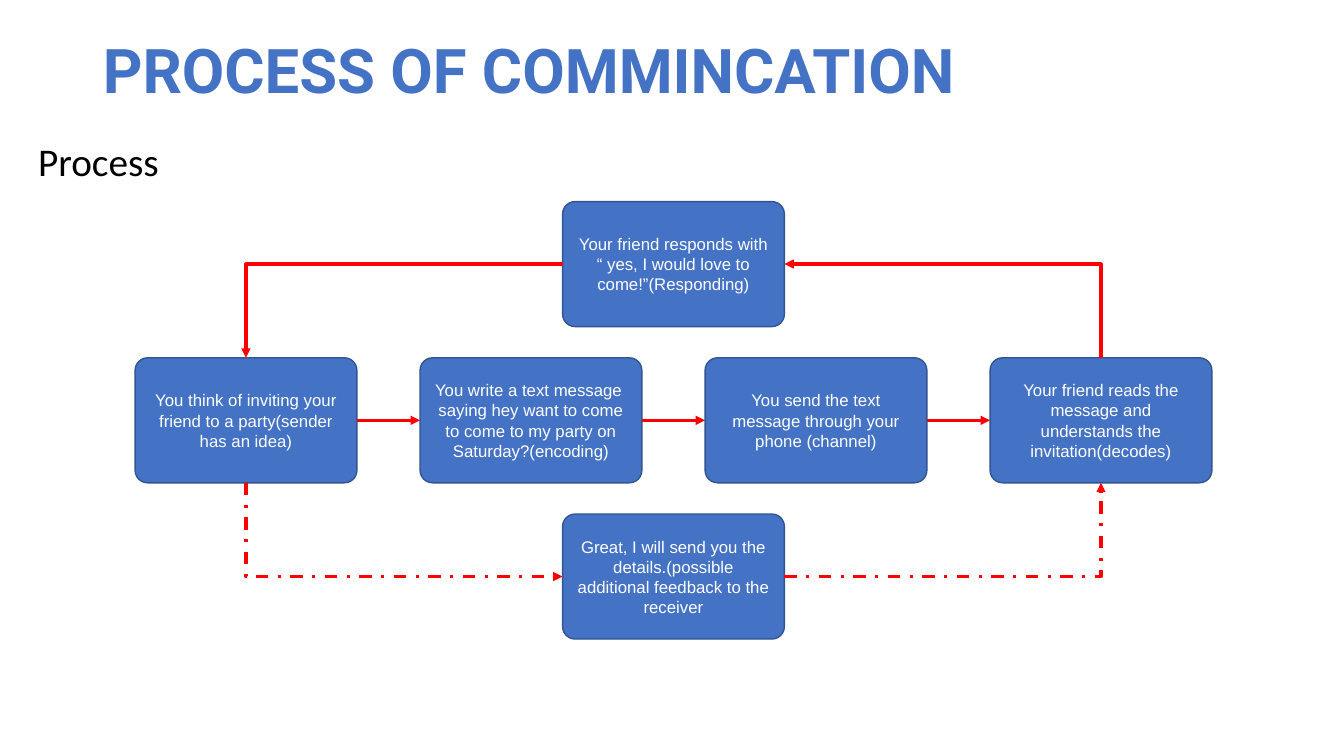
from lxml import etree
from pptx import Presentation
from pptx import util as u
from pptx.dml.color import RGBColor
from pptx.enum import dml, shapes, text
from pptx.oxml.ns import qn

BLUE, EDGE, RED, WHITE, BLACK = "4472C4", "325491", "FF0000", "FFFFFF", "000000"
TITLE_BOX = (0.92, 0.24, 11.5, 0.97)
BODY_BOX = (0.28, 1.37, 12.82, 5.93)
DIAGRAM_BOX = (1.34, 2, 10.68, 4.34)
STEP_W, STEP_H = 2.2, 1.24
COLS, ROWS = 4, 3
TOP, LEFT, BOTTOM, RIGHT = range(4)  # connection sites of a rounded rectangle

# name: (column, row, wording)
STEPS = {
    "idea": (0, 1, "You think of inviting your friend to a party(sender has an idea)"),
    "encode": (1, 1, "You write a text message  saying hey want to come to come "
                     "to my party on Saturday?(encoding)"),
    "channel": (2, 1, "You send the text message through your phone (channel)"),
    "decode": (3, 1, "Your friend reads the message and understands the "
                     "invitation(decodes)"),
    "respond": (1.5, 0, "Your friend responds with “ yes, I would love to "
                        "come!”(Responding)"),
    "feedback": (1.5, 2, "Great, I will send you the details.(possible additional "
                         "feedback to the receiver"),
}
# from, site, to, site, dashed
BENT_ARROWS = [
    ("respond", LEFT, "idea", TOP, False),
    ("decode", TOP, "respond", RIGHT, False),
    ("idea", BOTTOM, "feedback", LEFT, True),
    ("feedback", RIGHT, "decode", BOTTOM, True),
]
MAIN_FLOW = ["idea", "encode", "channel", "decode"]


def rgb(value):
    return RGBColor.from_string(value)


def put_text(sp, wording, font, size, color, bold=False, spacing=1.0, before=0,
             align=text.PP_ALIGN.LEFT, anchor=text.MSO_ANCHOR.TOP):
    tf = sp.text_frame
    tf.word_wrap = True
    tf.auto_size = text.MSO_AUTO_SIZE.NONE
    tf.vertical_anchor = anchor
    p = tf.paragraphs[0]
    p.alignment, p.line_spacing, p.space_before = align, spacing, u.Pt(before)
    r = p.add_run()
    r.text = wording
    r.font.name, r.font.size, r.font.bold = font, u.Pt(size), bold
    r.font.color.rgb = rgb(color)


def add_title(s, box):
    sp = s.shapes.title
    sp.left, sp.top, sp.width, sp.height = map(u.Inches, box)
    put_text(sp, "PROCESS OF COMMINCATION", "Roboto", 44, BLUE, bold=True,
             spacing=0.9, anchor=text.MSO_ANCHOR.MIDDLE)


def add_body(s, box):
    sp = s.shapes.add_textbox(*map(u.Inches, box))
    put_text(sp, "Process", "Calibri", 28, BLACK, spacing=0.9, before=10)


def add_step(s, box, wording):
    sp = s.shapes.add_shape(shapes.MSO_SHAPE.ROUNDED_RECTANGLE, *map(u.Inches, box))
    sp.adjustments[0] = 0.1
    sp.shadow.inherit = False
    sp.fill.solid()
    sp.fill.fore_color.rgb = rgb(BLUE)
    sp.line.color.rgb = rgb(EDGE)
    sp.line.width = u.Pt(1)
    put_text(sp, wording, "Arial", 12, WHITE, align=text.PP_ALIGN.CENTER,
             anchor=text.MSO_ANCHOR.MIDDLE)
    return sp


def add_arrow(s, start, start_site, end, end_site, dashed=False):
    """Glue a straight red arrow to two steps."""
    line = s.shapes.add_connector(shapes.MSO_CONNECTOR.STRAIGHT, 0, 0, 0, 0)
    line.begin_connect(start, start_site)
    line.end_connect(end, end_site)
    line.line.color.rgb = rgb(RED)
    line.line.width = u.Pt(2.25)
    if dashed:
        line.line.dash_style = dml.MSO_LINE.DASH_DOT
    etree.SubElement(line.line._get_or_add_ln(), qn("a:tailEnd"), type="triangle")
    etree.SubElement(line._element.spPr, qn("a:effectLst"))
    return line


def bend(line, upright_first):
    """Turn a straight arrow into one with a single right-angled corner."""
    sp_pr = line._element.spPr
    sp_pr.find(qn("a:prstGeom")).set("prst", "bentConnector2")
    if upright_first:
        # The preset runs sideways first, so its frame gets a quarter turn.
        x1, y1, x2, y2 = line.begin_x, line.begin_y, line.end_x, line.end_y
        mid_x, mid_y = (x1 + x2) // 2, (y1 + y2) // 2
        half_x, half_y = (x2 - x1) // 2, (y2 - y1) // 2
        line.begin_x, line.end_x = mid_x + half_y, mid_x - half_y
        line.begin_y, line.end_y = mid_y - half_x, mid_y + half_x
        sp_pr.find(qn("a:xfrm")).set("rot", str(270 * 60000))


def add_diagram(s, box):
    left, top, width, height = box
    col_step = (width - STEP_W) / (COLS - 1)
    row_step = (height - STEP_H) / (ROWS - 1)
    steps = {
        name: add_step(s, (left + col * col_step, top + row * row_step,
                           STEP_W, STEP_H), wording)
        for name, (col, row, wording) in STEPS.items()
    }
    for start, start_site, end, end_site, dashed in BENT_ARROWS:
        line = add_arrow(s, steps[start], start_site, steps[end], end_site, dashed)
        bend(line, upright_first=start_site in (TOP, BOTTOM))
    for start, end in zip(MAIN_FLOW, MAIN_FLOW[1:]):
        add_arrow(s, steps[start], RIGHT, steps[end], LEFT)


def main():
    prs = Presentation()
    prs.slide_width, prs.slide_height = u.Inches(13.33), u.Inches(7.5)
    s = prs.slides.add_slide(prs.slide_layouts[5])
    add_title(s, TITLE_BOX)
    add_body(s, BODY_BOX)
    add_diagram(s, DIAGRAM_BOX)
    prs.save("out.pptx")


if __name__ == "__main__":
    main()
